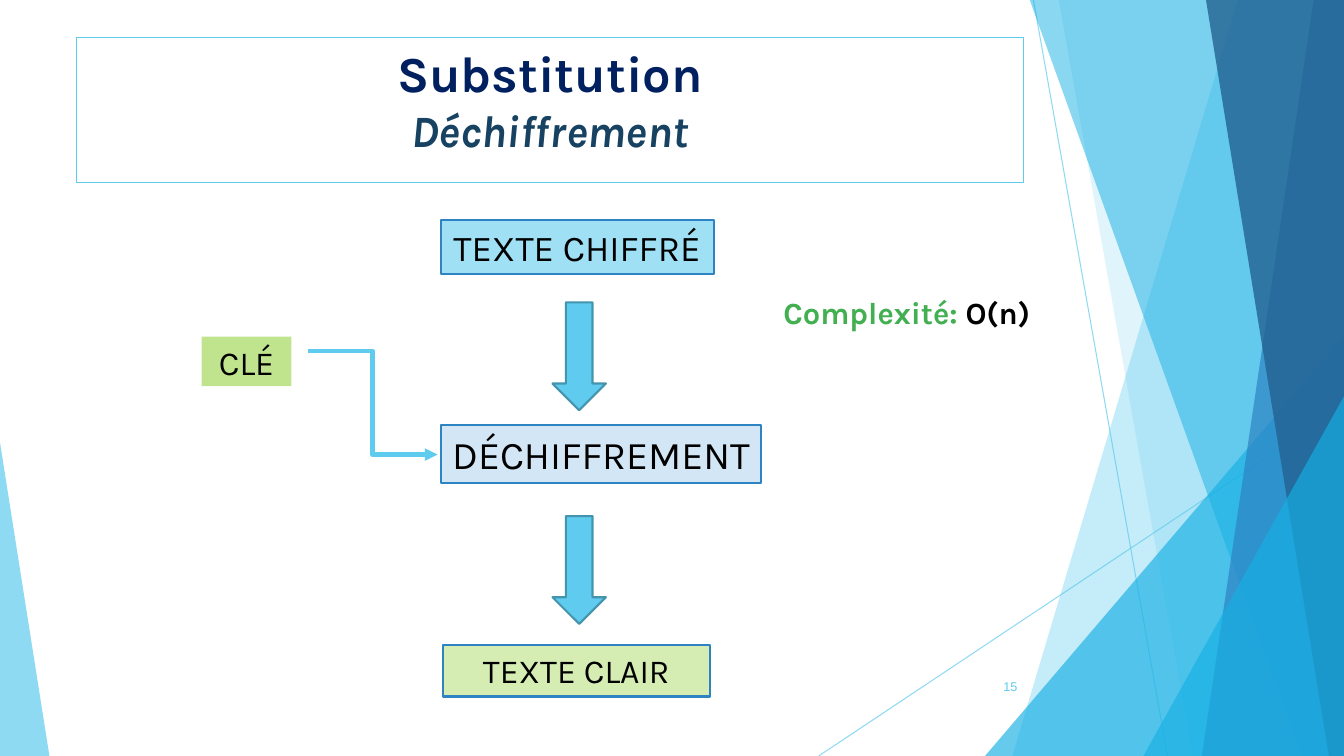
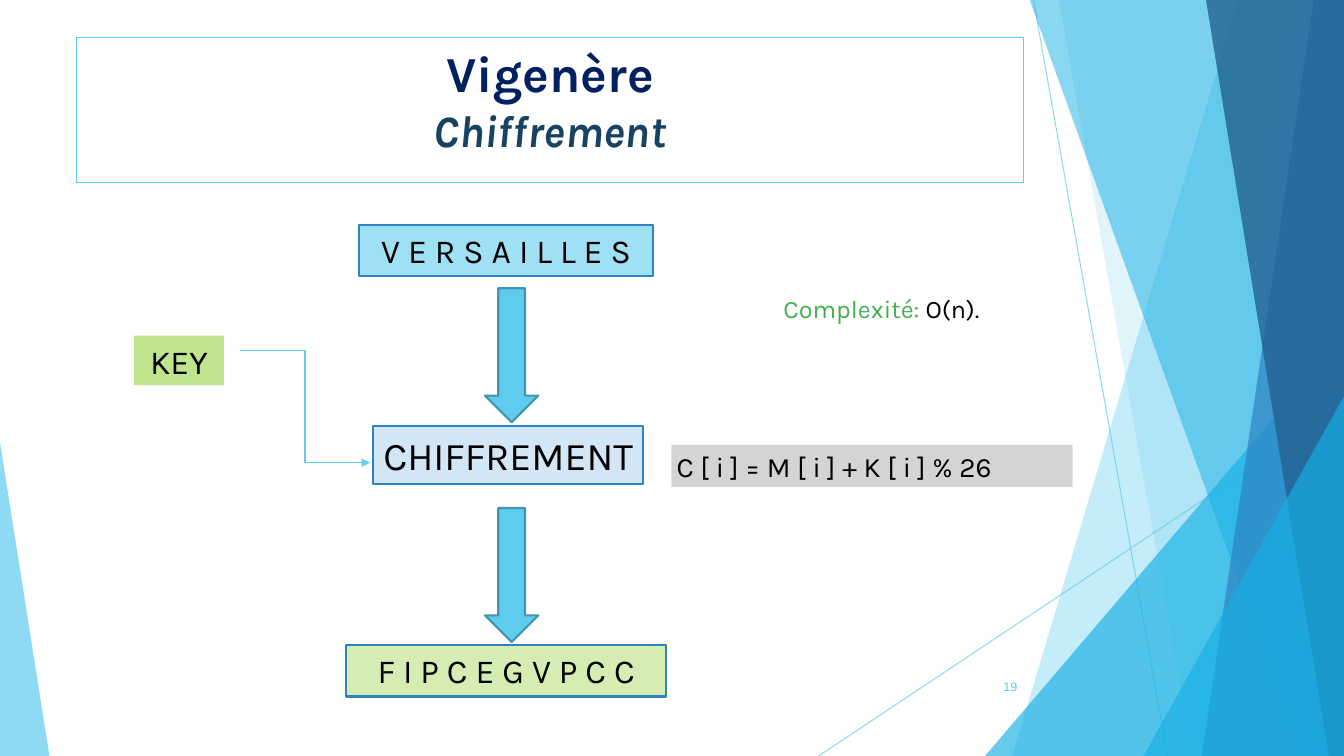
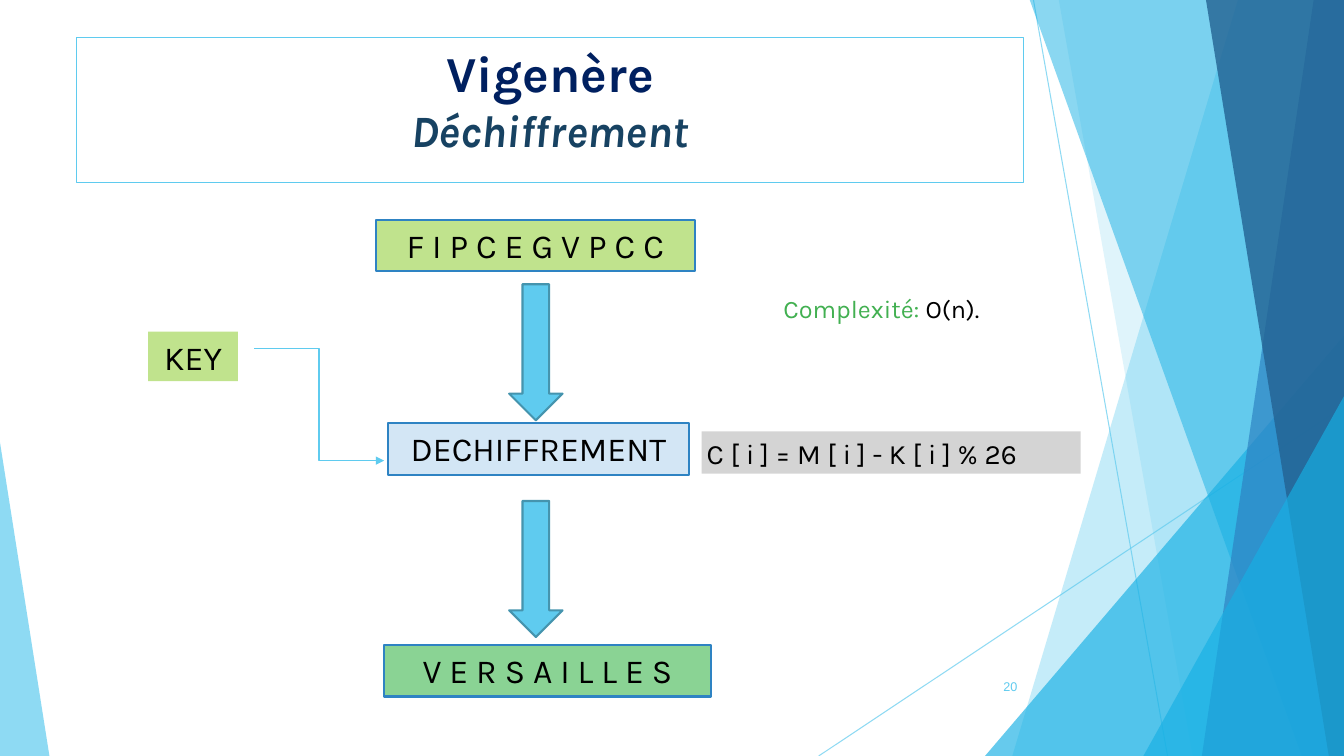
from dataclasses import dataclass
from typing import Any, Optional

from lxml.etree import SubElement
from pptx import Presentation
from pptx.dml.color import RGBColor
from pptx.enum.shapes import MSO_CONNECTOR, MSO_SHAPE
from pptx.enum.text import MSO_ANCHOR, PP_ALIGN
from pptx.oxml.ns import qn
from pptx.util import Inches, Pt

COLORS = {
    "white": "FFFFFF",
    "black": "000000",
    "sky": "5FCBEF",
    "cyan": "17B0E4",
    "blue": "2E83C3",
    "deep blue": "236292",
    "navy": "002060",
    "slate": "174262",
    "arrow edge": "4594AE",
    "light sky": "9FE0F5",
    "pale blue": "D3E6F5",
    "lime": "C0E38D",
    "pale lime": "D5EDB3",
    "mint": "8AD394",
    "green": "42B051",
    "gray": "D4D4D4",
}
SLIDE_WIDTH, SLIDE_HEIGHT = 13.33, 7.5
BOX_HEIGHTS = {20: 0.42, 24: 0.51, 26: 0.54, 28: 0.57}
FRAME_FORMAT = {
    "word_wrap": True,
    "margin_left": Inches(0.05),
    "margin_right": Inches(0.05),
    "margin_top": Inches(0.05),
    "margin_bottom": Inches(0.05),
}
ARROW_WIDTH = 0.53
KEY_WIDTH, KEY_HEIGHT = 0.89, 0.49
KEY_LINK_OFFSET, KEY_LINK_WIDTH = 1.05, 1.29


@dataclass(frozen=True)
class Facet:
    """A translucent polygon of the background."""

    color: str
    opacity: int
    points: tuple[tuple[float, float], ...]


@dataclass(frozen=True)
class Run:
    text: str
    size: float
    color: str = "black"
    bold: bool = False
    italic: bool = False
    name: str = "Karla"


@dataclass(frozen=True)
class Box:
    text: str
    left: float
    top: float
    width: float
    fill: str
    size: int = 24
    edge: Optional[str] = "blue"
    alignment: PP_ALIGN = PP_ALIGN.CENTER


@dataclass(frozen=True)
class KeyLink:
    """The key box and the elbow arrow that leaves it."""

    text: str
    left: float
    top: float
    start_y: float
    end_y: float
    weight: float = 1


@dataclass(frozen=True)
class CipherSlide:
    title: str
    subtitle: str
    number: str
    boxes: tuple[Box, ...]
    key: KeyLink
    arrow_left: float
    arrow_tops: tuple[float, float]
    arrow_height: float
    complexity: str = "O(n)."
    complexity_size: int = 18
    complexity_bold: bool = False


FACETS = (
    Facet("sky", 36, ((12.28, -0.01), (13.33, -0.01), (13.33, 7.5), (10.04, 7.5))),
    Facet("sky", 20, ((10.5, -0.01), (13.33, -0.01), (13.33, 7.5), (11.83, 7.5))),
    Facet("cyan", 66, ((9.77, 7.5), (13.33, 3.33), (13.33, 7.5))),
    Facet("cyan", 50, ((10.21, -0.01), (13.33, -0.01), (13.33, 7.5), (12.91, 7.5))),
    Facet("blue", 70, ((13.03, -0.01), (13.33, -0.01), (13.33, 7.5), (11.92, 7.5))),
    Facet("deep blue", 80, ((11.96, -0.01), (13.33, -0.01), (13.33, 7.5), (13.18, 7.5))),
    Facet("cyan", 66, ((11.34, 7.5), (13.33, 3.93), (13.33, 7.5))),
    Facet("sky", 70, ((0, 7.5), (0, 4.39), (0.49, 7.5))),
)
BACKGROUND_LINES = ((10.25, 0, 11.58, 7.5), (13.33, 4.03, 8.12, 7.5))


def formula(text: str, left: float, top: float, width: float) -> Box:
    return Box(text, left, top, width, "gray", 20, None, PP_ALIGN.LEFT)


CIPHER_SLIDES = (
    CipherSlide(
        "Substitution", "Déchiffrement", "15",
        (
            Box("TEXTE CHIFFRÉ", 4.37, 2.18, 2.71, "light sky", 26),
            Box("DÉCHIFFREMENT", 4.37, 4.22, 3.18, "pale blue", 28),
            Box("TEXTE CLAIR", 4.39, 6.4, 2.65, "pale lime"),
        ),
        KeyLink("CLÉ", 2, 3.34, 3.48, 4.51, 3),
        5.48, (3, 5.12), 1.07,
        "O(n)", 22, True,
    ),
    CipherSlide(
        "Vigenère", "Chiffrement", "19",
        (
            Box("V E R S A I L L E S", 3.56, 2.23, 2.92, "light sky"),
            Box("CHIFFREMENT", 3.7, 4.23, 2.68, "pale blue", 28),
            Box("F I P C E G V P C C", 3.43, 6.4, 3.18, "pale lime"),
            formula("C [ i ] = M [ i ] + K [ i ] % 26", 6.66, 4.41, 3.98),
        ),
        KeyLink("KEY", 1.33, 3.33, 3.48, 4.59),
        4.81, (2.86, 5.04), 1.33,
    ),
    CipherSlide(
        "Vigenère", "Déchiffrement", "20",
        (
            Box("F I P C E G V P C C", 3.73, 2.18, 3.16, "lime"),
            Box("DECHIFFREMENT", 3.85, 4.2, 2.98, "pale blue"),
            Box("V E R S A I L L E S", 3.81, 6.4, 3.24, "mint"),
            formula("C [ i ] = M [ i ] - K [ i ] % 26", 6.96, 4.28, 3.76),
        ),
        KeyLink("KEY", 1.47, 3.29, 3.46, 4.57),
        5.05, (2.82, 4.97), 1.35,
    ),
)


def rgb(color: str) -> RGBColor:
    return RGBColor.from_string(COLORS[color])


def apply_format(target: Any, values: dict[str, Any]) -> None:
    for attribute, value in values.items():
        setattr(target, attribute, value)


def set_opacity(shape: Any, percent: int) -> None:
    for color in shape.element.spPr.iter(qn("a:srgbClr")):
        SubElement(color, qn("a:alpha")).set("val", str(percent * 1000))


def style_shape(shape: Any, fill: Optional[str], edge: Optional[str], weight: float = 1.5) -> None:
    shape.shadow.inherit = False
    if fill:
        shape.fill.solid()
        shape.fill.fore_color.rgb = rgb(fill)
    else:
        shape.fill.background()
    if edge:
        shape.line.color.rgb = rgb(edge)
        shape.line.width = Pt(weight)
    else:
        shape.line.fill.background()


def add_line(slide: Any, kind: MSO_CONNECTOR, ends: tuple[float, ...], weight: float) -> Any:
    connector = slide.shapes.add_connector(kind, *(Inches(value) for value in ends))
    connector.line.color.rgb = rgb("sky")
    connector.line.width = Pt(weight)
    SubElement(connector.element.spPr, qn("a:effectLst"))
    return connector


def add_preset(slide: Any, preset: MSO_SHAPE, place: tuple[float, ...]) -> Any:
    return slide.shapes.add_shape(preset, *(Inches(value) for value in place))


def add_text_box(slide: Any, place: tuple[float, ...]) -> Any:
    return slide.shapes.add_textbox(*(Inches(value) for value in place))


def write(
    shape: Any,
    lines: list[list[Run]],
    alignment: PP_ALIGN = PP_ALIGN.LEFT,
    anchor: MSO_ANCHOR = MSO_ANCHOR.TOP,
) -> None:
    """Fill the shape with one paragraph for each list of runs."""
    frame = shape.text_frame
    apply_format(frame, FRAME_FORMAT | {"vertical_anchor": anchor})
    for index, line in enumerate(lines):
        paragraph = frame.add_paragraph() if index else frame.paragraphs[0]
        paragraph.alignment = alignment
        for item in line:
            run = paragraph.add_run()
            run.text = item.text
            apply_format(run.font, {
                "name": item.name,
                "size": Pt(item.size),
                "bold": item.bold,
                "italic": item.italic,
            })
            run.font.color.rgb = rgb(item.color)


def add_facet(slide: Any, facet: Facet) -> Any:
    first, *others = [(Inches(x), Inches(y)) for x, y in facet.points]
    builder = slide.shapes.build_freeform(*first)
    builder.add_line_segments(others, close=True)
    shape = builder.convert_to_shape()
    style_shape(shape, facet.color, None)
    set_opacity(shape, facet.opacity)
    return shape


def move_background_to_layout(slide: Any) -> None:
    """Draw the background once, then hand it to the layout all slides share."""
    shapes = []
    for ends in BACKGROUND_LINES:
        line = add_line(slide, MSO_CONNECTOR.STRAIGHT, ends, 0.75)
        set_opacity(line, 70)
        shapes.append(line)
    shapes.extend(add_facet(slide, facet) for facet in FACETS)
    layout = slide.slide_layout
    for shape in shapes:
        layout.shapes.element.append(shape.element)
    layout.background.fill.solid()
    layout.background.fill.fore_color.rgb = rgb("white")


def add_title(slide: Any, title: str, subtitle: str) -> None:
    shape = add_preset(slide, MSO_SHAPE.RECTANGLE, (0.76, 0.37, 9.39, 1.44))
    style_shape(shape, None, "sky", 0.75)
    lines = [
        [Run(title, 36, "navy", bold=True)],
        [Run(subtitle, 32, "slate", bold=True, italic=True)],
    ]
    write(shape, lines, PP_ALIGN.CENTER)


def add_box(slide: Any, box: Box, height: float) -> None:
    shape = add_preset(slide, MSO_SHAPE.RECTANGLE, (box.left, box.top, box.width, height))
    style_shape(shape, box.fill, box.edge)
    write(shape, [[Run(box.text, box.size)]], box.alignment)


def add_key(slide: Any, key: KeyLink) -> None:
    add_box(slide, Box(key.text, key.left, key.top, KEY_WIDTH, "lime", edge=None), KEY_HEIGHT)
    start_x = key.left + KEY_LINK_OFFSET
    ends = (start_x, key.start_y, start_x + KEY_LINK_WIDTH, key.end_y)
    connector = add_line(slide, MSO_CONNECTOR.ELBOW, ends, key.weight)
    outline = connector.element.spPr.find(qn("a:ln"))
    SubElement(outline, qn("a:tailEnd")).set("type", "triangle")


def add_complexity(slide: Any, content: CipherSlide) -> None:
    size, bold = content.complexity_size, content.complexity_bold
    label = Run("Complexité: ", size, "green", bold)
    value = Run(content.complexity, size, bold=bold)
    write(add_text_box(slide, (7.72, 2.86, 2.71, 0.98)), [[label, value]])


def add_number(slide: Any, number: str) -> None:
    shape = add_text_box(slide, (9.9, 6.69, 0.24, 0.24))
    run = Run(number, 9, "sky", name="Arial")
    write(shape, [[run]], PP_ALIGN.RIGHT, MSO_ANCHOR.MIDDLE)
    shape.text_frame.word_wrap = False


def fill_slide(slide: Any, content: CipherSlide) -> None:
    add_title(slide, content.title, content.subtitle)
    for box in content.boxes:
        add_box(slide, box, BOX_HEIGHTS[box.size])
    for top in content.arrow_tops:
        place = (content.arrow_left, top, ARROW_WIDTH, content.arrow_height)
        style_shape(add_preset(slide, MSO_SHAPE.DOWN_ARROW, place), "sky", "arrow edge")
    add_key(slide, content.key)
    add_complexity(slide, content)
    add_number(slide, content.number)


def main() -> None:
    presentation = Presentation()
    presentation.slide_width = Inches(SLIDE_WIDTH)
    presentation.slide_height = Inches(SLIDE_HEIGHT)
    blank_layout = presentation.slide_layouts[6]
    for index, content in enumerate(CIPHER_SLIDES):
        slide = presentation.slides.add_slide(blank_layout)
        if index == 0:
            move_background_to_layout(slide)
        fill_slide(slide, content)
    presentation.save("out.pptx")


if __name__ == "__main__":
    main()
